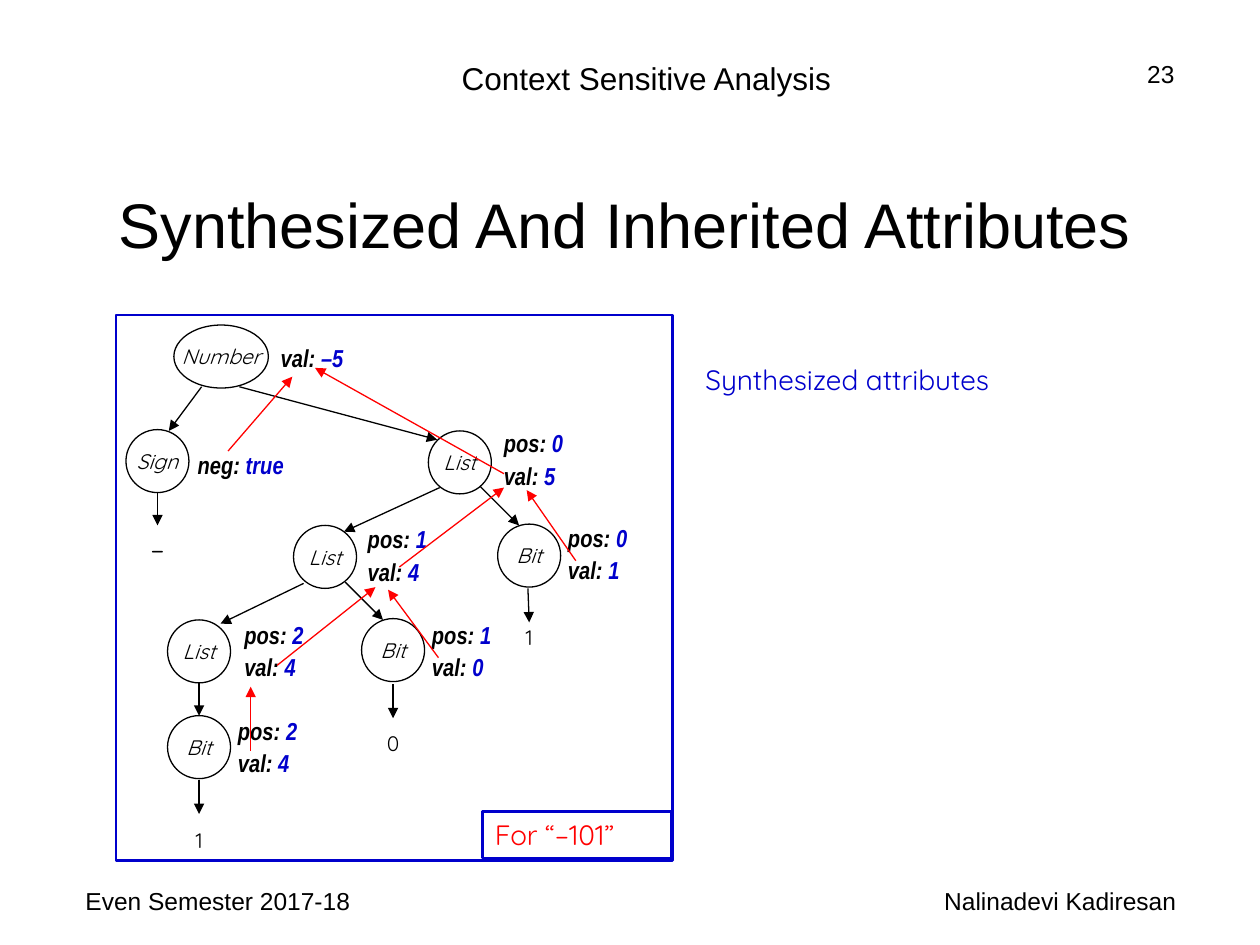
"""Build a slide showing an attributed parse tree for a signed binary number."""
from typing import NamedTuple

from lxml.etree import SubElement
from pptx import Presentation
from pptx.dml.color import RGBColor
from pptx.enum.shapes import MSO_CONNECTOR, MSO_SHAPE
from pptx.enum.text import MSO_ANCHOR, MSO_AUTO_SIZE, PP_ALIGN
from pptx.oxml.ns import qn
from pptx.util import Inches, Pt

BLACK, BLUE, RED = "000000", "0000CC", "FF0000"
SANS, SLIM, ROUND = "Arial", "Arial Narrow", "Quicksand"
LEFT, MID, RIGHT = PP_ALIGN.LEFT, PP_ALIGN.CENTER, PP_ALIGN.RIGHT


class Node(NamedTuple):
    """Oval of the parse tree."""
    name: str
    left: float
    top: float
    wide: float = 0.5


class Note(NamedTuple):
    """Attribute lines, each a key and its value."""
    left: float
    top: float
    wide: float
    pairs: dict[str, str]


class Label(NamedTuple):
    """Plain line of text in a box."""
    text: str
    left: float
    top: float
    wide: float
    high: float
    size: int
    font: str = SANS
    align: PP_ALIGN = LEFT
    color: str = BLACK


class Arrow(NamedTuple):
    """Line from one point to another."""
    x1: float
    y1: float
    x2: float
    y2: float


NODES = [
    Node("Number", 1.38, 2.58, 0.75),
    Node("Sign", 1, 3.41),
    Node("List", 3.4, 3.42),
    Node("Bit", 3.95, 4.16),
    Node("List", 2.33, 4.17),
    Node("Bit", 2.87, 4.91),
    Node("List", 1.33, 4.92),
    Node("Bit", 1.33, 5.68),
]
EDGES = [
    Arrow(1.6, 3.07, 1.34, 3.42),
    Arrow(1.9, 3.07, 3.47, 3.49),
    Arrow(1.25, 3.91, 1.25, 4.17),
    Arrow(3.81, 3.86, 4.12, 4.17),
    Arrow(3.49, 3.87, 2.73, 4.22),
    Arrow(4.19, 4.67, 4.2, 4.94),
    Arrow(2.74, 4.62, 3.04, 4.92),
    Arrow(2.41, 4.63, 1.75, 4.95),
    Arrow(3.12, 5.43, 3.12, 5.7),
    Arrow(1.58, 5.42, 1.58, 5.68),
    Arrow(1.58, 6.19, 1.58, 6.46),
]
FLOWS = [
    Arrow(3.48, 5.22, 3.08, 4.68),
    Arrow(3.17, 4.5, 4, 3.87),
    Arrow(1.99, 5.96, 1.99, 5.45),
    Arrow(2.2, 5.28, 2.98, 4.66),
    Arrow(4.57, 4.45, 4.18, 3.89),
    Arrow(4, 3.76, 2.5, 2.92),
    Arrow(1.81, 3.58, 2.32, 2.99),
]
NOTES = [
    Note(2.13, 2.67, 1.04, {"val": "–5"}),
    Note(1.47, 3.52, 0.95, {"neg": "true"}),
    Note(3.9, 3.35, 0.85, {"pos": "0", "val": "5"}),
    Note(2.82, 4.11, 0.85, {"pos": "1", "val": "4"}),
    Note(4.41, 4.1, 0.84, {"pos": "0", "val": "1"}),
    Note(1.84, 4.87, 0.91, {"pos": "2", "val": "4"}),
    Note(3.33, 4.87, 0.92, {"pos": "1", "val": "0"}),
    Note(1.79, 5.63, 1.46, {"pos": "2", "val": "4"}),
]
LABELS = [
    Label("Context Sensitive Analysis", 1.42, 0.42, 7.42, 0.4, 18, align=MID),
    Label("23", 7.67, 0.42, 1.75, 0.52, 14, align=RIGHT),
    Label("–", 1, 4.17, 0.5, 0.37, 16, ROUND, MID),
    Label("1", 3.99, 4.91, 0.42, 0.3, 12, ROUND, MID),
    Label("0", 2.91, 5.75, 0.42, 0.3, 12, ROUND, MID),
    Label("1", 1.43, 6.52, 0.3, 0.3, 12, ROUND, MID),
    Label("Synthesized attributes", 5.5, 2.83, 4, 0.37, 16, ROUND, color=BLUE),
    Label("Even Semester 2017-18", 0.58, 6.98, 2.33, 0.52, 14),
    Label("Nalinadevi Kadiresan", 6.83, 6.98, 3.17, 0.52, 14, align=MID),
]


def tint(code: str) -> RGBColor:
    """Turn a hex string into a colour."""
    return RGBColor.from_string(code)


def write(para, text: str, *, size: int, font: str = SANS, color: str = BLACK,
          bold: bool = False, slant: bool = False, align: PP_ALIGN = LEFT) -> None:
    """Add a formatted run to a paragraph."""
    para.alignment = align
    run = para.add_run()
    run.text = text
    face = run.font
    face.name, face.size = font, Pt(size)
    face.bold, face.italic = bold, slant
    face.color.rgb = tint(color)


def add_box(slide, left: float, top: float, wide: float, high: float):
    """Add a wrapping text box and return its frame."""
    frame = slide.shapes.add_textbox(*map(Inches, (left, top, wide, high))).text_frame
    frame.word_wrap = True
    return frame


def add_form(slide, kind: MSO_SHAPE, left: float, top: float, wide: float,
             high: float, color: str, width: float):
    """Add an outlined shape without fill or shadow."""
    form = slide.shapes.add_shape(kind, *map(Inches, (left, top, wide, high)))
    form.shadow.inherit = False
    form.fill.background()
    form.line.color.rgb = tint(color)
    form.line.width = Pt(width)
    return form


def draw_arrow(slide, arrow: Arrow, color: str) -> None:
    """Draw a thin line with a triangle at its end."""
    line = slide.shapes.add_connector(MSO_CONNECTOR.STRAIGHT, *map(Inches, arrow))
    line.line.color.rgb = tint(color)
    line.line.width = Pt(0.75)
    SubElement(line.line._get_or_add_ln(), qn("a:tailEnd"), type="triangle")
    SubElement(line._element.spPr, qn("a:effectLst"))


def draw_node(slide, node: Node) -> None:
    """Draw an oval with its name in the centre."""
    oval = add_form(slide, MSO_SHAPE.OVAL, node.left, node.top, node.wide, 0.5, BLACK, 0.75)
    frame = oval.text_frame
    frame.word_wrap = False
    frame.vertical_anchor = MSO_ANCHOR.MIDDLE
    write(frame.paragraphs[0], node.name, size=12, font=ROUND, slant=True, align=MID)


def draw_note(slide, note: Note) -> None:
    """Write attribute keys in black and values in blue."""
    high = 0.09 + 0.25 * len(note.pairs)
    frame = add_box(slide, note.left, note.top, note.wide, high)
    for row, (key, value) in enumerate(note.pairs.items()):
        para = frame.add_paragraph() if row else frame.paragraphs[0]
        if row:
            para.space_before = Pt(1.8)
        for text, color in ((f"{key}: ", BLACK), (value, BLUE)):
            write(para, text, size=14, font=SLIM, color=color, bold=True, slant=True)


def draw_label(slide, label: Label) -> None:
    """Write one line of text."""
    frame = add_box(slide, label.left, label.top, label.wide, label.high)
    write(frame.paragraphs[0], label.text, size=label.size, font=label.font,
          align=label.align, color=label.color)


def main() -> None:
    """Build and save the slide."""
    deck = Presentation()
    deck.slide_width, deck.slide_height = Inches(10), Inches(7.5)
    slide = deck.slides.add_slide(deck.slide_layouts[5])

    title = slide.shapes.title
    title.left, title.top, title.width, title.height = map(Inches, (0.25, 1.33, 9.42, 0.88))
    title.text_frame.auto_size = MSO_AUTO_SIZE.NONE
    title.text_frame.vertical_anchor = MSO_ANCHOR.MIDDLE
    write(title.text_frame.paragraphs[0], "Synthesized And Inherited Attributes",
          size=36, align=MID)

    for edge in EDGES:
        draw_arrow(slide, edge, BLACK)
    for node in NODES:
        draw_node(slide, node)
    for note in NOTES:
        draw_note(slide, note)
    for flow in FLOWS:
        draw_arrow(slide, flow, RED)
    for label in LABELS:
        draw_label(slide, label)

    add_form(slide, MSO_SHAPE.RECTANGLE, 0.92, 2.5, 4.42, 4.33, BLUE, 1.5)
    sign = add_form(slide, MSO_SHAPE.RECTANGLE, 3.83, 6.44, 1.5, 0.37, BLUE, 1.5)
    sign.text_frame.vertical_anchor = MSO_ANCHOR.TOP
    write(sign.text_frame.paragraphs[0], "For “–101”", size=16, font=ROUND, color=RED)
    deck.save("out.pptx")


if __name__ == "__main__":
    main()
